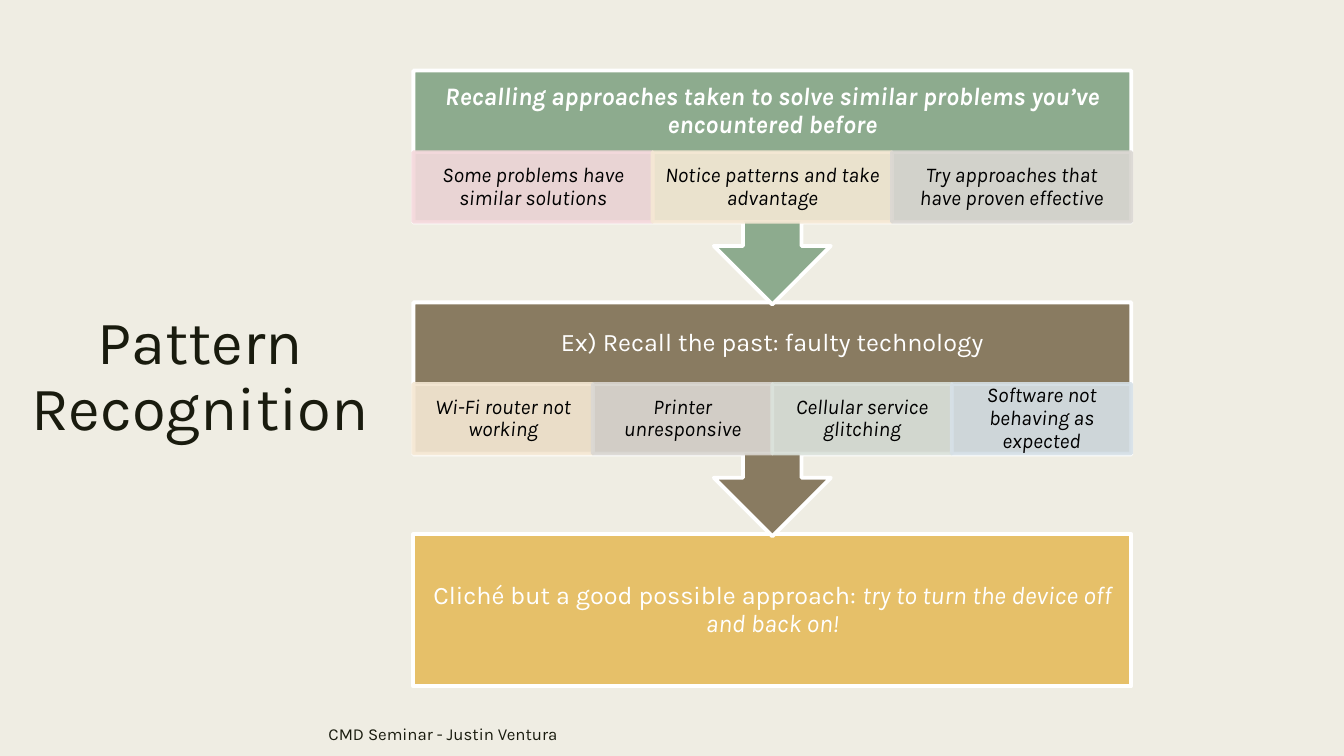
"""Build the Pattern Recognition slide."""
from dataclasses import dataclass

from lxml.etree import SubElement
from pptx import Presentation
from pptx.dml.color import RGBColor
from pptx.enum.shapes import MSO_SHAPE
from pptx.enum.text import MSO_ANCHOR, MSO_AUTO_SIZE, PP_ALIGN
from pptx.oxml.ns import qn
from pptx.util import Inches, Pt

FONT = "Karla"
PAPER = RGBColor(0xEF, 0xED, 0xE3)
INK = RGBColor(0x19, 0x1B, 0x0E)
BLACK = RGBColor(0, 0, 0)
WHITE = RGBColor(0xFF, 0xFF, 0xFF)
GREEN = RGBColor(0x8D, 0xAB, 0x8E)
BROWN = RGBColor(0x89, 0x7B, 0x61)
GOLD = RGBColor(0xE6, 0xC0, 0x69)
PINK = RGBColor(0xF4, 0xD9, 0xDC)
CREAM = RGBColor(0xF5, 0xE8, 0xD4)
GREY = RGBColor(0xDA, 0xD7, 0xD2)
SAGE = RGBColor(0xDB, 0xE2, 0xDB)
BLUE = RGBColor(0xD6, 0xE0, 0xE7)

LEFT, WIDTH = 4.1, 7.12
TOP, STEP = 0.7, 2.3
CALL_H, HEAD_H, CELL_H, BASE_H = 2.32, 0.81, 0.69, 1.51
BOX_H = CALL_H * 0.65


@dataclass
class Run:
    """A piece of text with its style."""
    text: str
    bold: bool = False
    slant: bool = False


@dataclass
class Cell:
    """A tinted detail below a step's heading."""
    text: str
    tint: RGBColor


@dataclass
class Stage:
    """One step of the flow."""
    runs: list[Run]
    color: RGBColor
    cells: list[Cell]


STAGES = [
    Stage([Run("Recalling approaches taken to solve similar problems "
               "you’ve encountered before", True, True)], GREEN, [
        Cell("Some problems have similar solutions", PINK),
        Cell("Notice patterns and take advantage", CREAM),
        Cell("Try approaches that have proven effective", GREY)]),
    Stage([Run("Ex) Recall the past: faulty technology")], BROWN, [
        Cell("Wi-Fi router not working", CREAM),
        Cell("Printer unresponsive", GREY),
        Cell("Cellular service glitching", SAGE),
        Cell("Software not behaving as expected", BLUE)]),
    Stage([Run("Cliché but a good possible approach: "),
           Run("try to turn the device off and back on!", slant=True)],
          GOLD, []),
]


def write(shape, runs: list[Run], size: float, color: RGBColor,
          pads: tuple, align=PP_ALIGN.CENTER, lead: float = 0.9) -> None:
    """Fill a shape with styled runs, padded left, top, right and bottom."""
    frame = shape.text_frame
    frame.word_wrap = True
    frame.auto_size = MSO_AUTO_SIZE.NONE
    frame.vertical_anchor = MSO_ANCHOR.MIDDLE
    (frame.margin_left, frame.margin_top,
     frame.margin_right, frame.margin_bottom) = map(Inches, pads)
    para = frame.paragraphs[0]
    para.alignment = align
    para.line_spacing = lead
    for item in runs:
        run = para.add_run()
        run.text = item.text
        font = run.font
        font.name, font.size = FONT, Pt(size)
        font.bold, font.italic = item.bold, item.slant
        font.color.rgb = color


def block(slide, kind, box: tuple, fill: RGBColor, edge: RGBColor):
    """Add a filled and outlined preset shape."""
    shape = slide.shapes.add_shape(kind, *map(Inches, box))
    shape.shadow.inherit = False
    shape.fill.solid()
    shape.fill.fore_color.rgb = fill
    shape.line.color.rgb = edge
    shape.line.width = Pt(2.75)
    return shape


def fade(shape, alpha: int) -> None:
    """Set the opacity of a shape's fill and line in percent."""
    for tone in list(shape._element.spPr.iter(qn("a:srgbClr"))):
        SubElement(tone, qn("a:alpha")).set("val", str(alpha * 1000))


def draw(slide, stage: Stage, top: float) -> None:
    """Draw a step: a callout with cells, or a plain closing box."""
    if stage.cells:
        kind, high = MSO_SHAPE.DOWN_ARROW_CALLOUT, CALL_H
        foot = 0.14 + BOX_H - HEAD_H
    else:
        kind, high, foot = MSO_SHAPE.RECTANGLE, BASE_H, 0.14
    shape = block(slide, kind, (LEFT, top, WIDTH, high), stage.color, WHITE)
    write(shape, stage.runs, 18, WHITE, (0.14, 0.14, 0.14, foot))
    for index, cell in enumerate(stage.cells):
        wide = WIDTH / len(stage.cells)
        box = (LEFT + index * wide, top + HEAD_H, wide, CELL_H)
        tile = block(slide, MSO_SHAPE.RECTANGLE, box, cell.tint, cell.tint)
        fade(tile, 90)
        write(tile, [Run(cell.text, slant=True)], 15, BLACK,
              (0.12, 0.02, 0.12, 0.02))


def main() -> None:
    """Build and save the slide."""
    deck = Presentation()
    deck.slide_width, deck.slide_height = Inches(13.33), Inches(7.5)
    slide = deck.slides.add_slide(deck.slide_layouts.get_by_name("Title Only"))
    slide.background.fill.solid()
    slide.background.fill.fore_color.rgb = PAPER

    pads = (0.1, 0.05, 0.1, 0.05)
    title = slide.shapes.title
    title.left, title.top = Inches(0.18), Inches(0.7)
    title.width, title.height = Inches(3.61), Inches(6.1)
    write(title, [Run("Pattern Recognition")], 44, INK, pads, lead=0.89)

    note = slide.shapes.add_textbox(*map(Inches, (3.16, 7.06, 6.87, 0.44)))
    write(note, [Run("CMD Seminar - Justin Ventura")], 12, INK, pads,
          PP_ALIGN.LEFT, 1.0)

    for index, stage in reversed(list(enumerate(STAGES))):
        draw(slide, stage, TOP + index * STEP)
    deck.save("out.pptx")


main()
